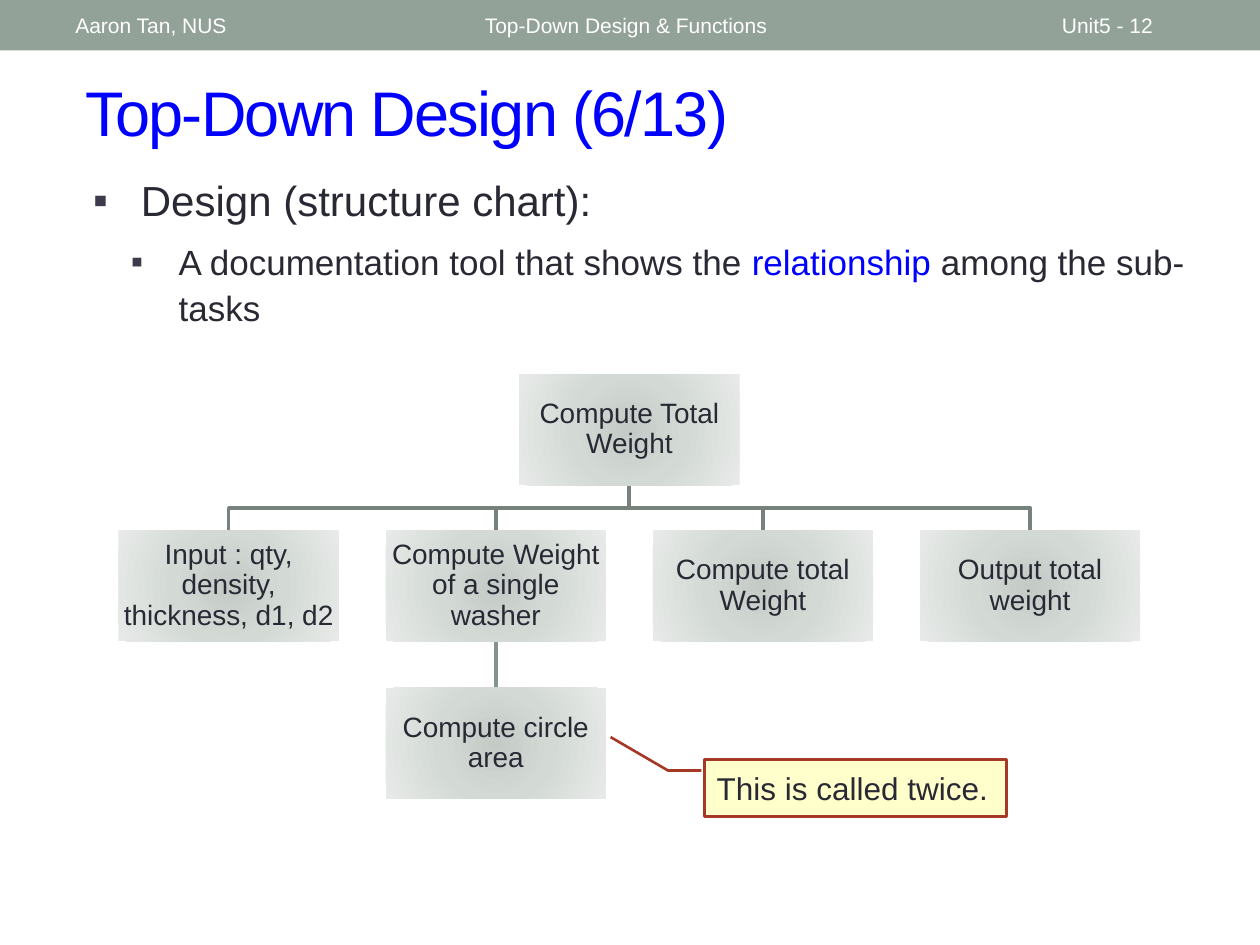
from lxml import etree
from pptx import Presentation
from pptx.dml.color import RGBColor
from pptx.enum.shapes import MSO_CONNECTOR, MSO_SHAPE
from pptx.enum.text import MSO_ANCHOR, PP_ALIGN
from pptx.oxml.ns import qn
from pptx.util import Inches, Pt

RECT, CALLOUT = MSO_SHAPE.RECTANGLE, MSO_SHAPE.LINE_CALLOUT_2
STRAIGHT = MSO_CONNECTOR.STRAIGHT
TOP, MIDDLE = MSO_ANCHOR.TOP, MSO_ANCHOR.MIDDLE
LEFT, CENTER = PP_ALIGN.LEFT, PP_ALIGN.CENTER

HUES = {
    "bar": "93A299", "white": "FFFFFF", "blue": "0000FF", "ink": "292934",
    "bullet": "3B3B4B", "elbow": "76827B", "stem": "85938B",
    "note": "FFFFCC", "red": "A53926",
}
SHADES = [(0, "C4CAC6"), (45, "D3DAD6"), (100, "E7EAE8")]
BOX_W, BOX_H = 1.75, 0.88
STEP, FIRST = 2.12, 0.94
ROWS = [2.97, 4.21, 5.46]


def rgb(name):
    return RGBColor.from_string(HUES[name])


def write(par, runs, size=16, color="ink", align=LEFT, spacing=None, before=None, track=None):
    par.alignment = align
    if spacing:
        par.line_spacing = spacing
    if before is not None:
        par.space_before = Pt(before)
    for item in [runs] if isinstance(runs, str) else runs:
        words, hue = (item, color) if isinstance(item, str) else item
        run = par.add_run()
        run.text = words
        run.font.name = "Arial"
        run.font.size = Pt(size)
        run.font.color.rgb = rgb(hue)
        if track:
            run._r.get_or_add_rPr().set("spc", str(track))


class Deck:
    def __init__(self, slide, font_size=16, weight=2.08):
        self.slide = slide
        self.shapes = slide.shapes
        self.size = font_size
        self.weight = weight

    def frame(self, shape, anchor=MIDDLE, inset=None):
        frame = shape.text_frame
        frame.word_wrap = True
        frame.vertical_anchor = anchor
        if inset is not None:
            frame.margin_left = frame.margin_right = Inches(inset)
            frame.margin_top = frame.margin_bottom = Inches(inset)
        return frame

    def title(self, words, place):
        shape = self.shapes.title
        shape.left, shape.top, shape.width, shape.height = map(Inches, place)
        write(self.frame(shape).paragraphs[0], words, size=36, color="blue", track=-100)

    def shape(self, kind, place, fill=None, line=None):
        shape = self.shapes.add_shape(kind, *map(Inches, place))
        shape.shadow.inherit = False
        if fill:
            shape.fill.solid()
            shape.fill.fore_color.rgb = rgb(fill)
        if line:
            shape.line.color.rgb = rgb(line)
            shape.line.width = Pt(1.5)
        else:
            shape.line.fill.background()
        return shape

    def label(self, words, place):
        box = self.shapes.add_textbox(*map(Inches, place))
        write(self.frame(box).paragraphs[0], words, size=12, color="white")

    def bullets(self, items, place):
        frame = self.frame(self.shapes.add_textbox(*map(Inches, place)), TOP)
        for level, (runs, size, indent) in enumerate(items):
            par = frame.add_paragraph() if level else frame.paragraphs[0]
            par.level = level
            props = par._p.get_or_add_pPr()
            props.set("marL", str(Inches(indent)))
            props.set("indent", str(Inches(-0.38)))
            tint = etree.SubElement(props, qn("a:buClr"))
            etree.SubElement(tint, qn("a:srgbClr"), val=HUES["bullet"])
            etree.SubElement(props, qn("a:buFont"), typeface="Arial")
            etree.SubElement(props, qn("a:buChar"), char="▪")
            write(par, runs, size=size, spacing=1.1, before=6 if level else 0)

    def task(self, words, left, top):
        box = self.shape(RECT, (left, top, BOX_W, BOX_H))
        box.fill.background()
        blank = box._element.spPr.find(qn("a:noFill"))
        grad = etree.Element(qn("a:gradFill"), rotWithShape="1")
        stops = etree.SubElement(grad, qn("a:gsLst"))
        for pos, hue in SHADES:
            stop = etree.SubElement(stops, qn("a:gs"), pos=str(pos * 1000))
            etree.SubElement(stop, qn("a:srgbClr"), val=hue)
        ring = etree.SubElement(grad, qn("a:path"), path="circle")
        etree.SubElement(ring, qn("a:fillToRect"), {side: "100000" for side in "ltrb"})
        blank.getparent().replace(blank, grad)
        write(self.frame(box, inset=0.01).paragraphs[0], words, size=self.size,
              align=CENTER, spacing=0.9)

    def elbow(self, start, end, bend):
        points = [start, (start[0], bend), (end[0], bend), end]
        points = [(Inches(x), Inches(y)) for x, y in points]
        pen = self.shapes.build_freeform(*points[0], scale=1.0)
        pen.add_line_segments(points[1:], close=False)
        line = pen.convert_to_shape()
        line.shadow.inherit = False
        line.fill.background()
        line.line.color.rgb = rgb("elbow")
        line.line.width = Pt(self.weight)

    def stem(self, x, top, low):
        line = self.shapes.add_connector(STRAIGHT, *map(Inches, (x, top, x, low)))
        line.line.color.rgb = rgb("stem")
        line.line.width = Pt(self.weight)
        etree.SubElement(line._element.spPr, qn("a:effectLst"))

    def callout(self, words, place, bends):
        note = self.shape(CALLOUT, place, "note", "red")
        for index, value in enumerate(bends):
            note.adjustments[index] = value
        write(self.frame(note).paragraphs[0], words, size=18)


def main():
    prs = Presentation()
    prs.slide_width, prs.slide_height = Inches(10), Inches(7.5)
    deck = Deck(prs.slides.add_slide(prs.slide_layouts[5]))

    deck.shape(RECT, (0, 0, 10, 0.4), "bar")
    deck.title("Top-Down Design (6/13)", (0.58, 0.42, 9.17, 0.92))
    for words, left, width in [
        ("Aaron Tan, NUS", 0.5, 3.17),
        ("Top-Down Design & Functions", 3.75, 4.5),
        ("Unit5 - 12", 8.33, 1.17),
    ]:
        deck.label(words, (left, 0.02, width, 0.36))
    deck.bullets([
        (["Design (structure chart):"], 24, 0.38),
        (["A documentation tool that shows the ", ("relationship", "blue"),
          " among the sub-tasks"], 20, 0.68),
    ], (0.64, 1.3, 8.93, 1.53))

    tasks = ["Input : qty, density, thickness, d1, d2", "Compute Weight of a single washer",
             "Compute total Weight", "Output total weight"]
    lefts = [FIRST + STEP * col for col in range(len(tasks))]
    root = (lefts[0] + lefts[-1]) / 2
    mid = BOX_W / 2
    base = ROWS[0] + BOX_H
    for left in lefts:
        deck.elbow((root + mid, base), (left + mid, ROWS[1]), (base + ROWS[1]) / 2)
    deck.stem(lefts[1] + mid, ROWS[1] + BOX_H, ROWS[2])
    deck.task("Compute Total Weight", root, ROWS[0])
    for words, left in zip(tasks, lefts):
        deck.task(words, left, ROWS[1])
    deck.task("Compute circle area", lefts[1], ROWS[2])
    deck.callout("This is called twice.", (5.59, 6.03, 2.4, 0.45),
                 (0.19, -0.01, 0.19, -0.12, -0.4, -0.31))
    prs.save("out.pptx")


if __name__ == "__main__":
    main()
